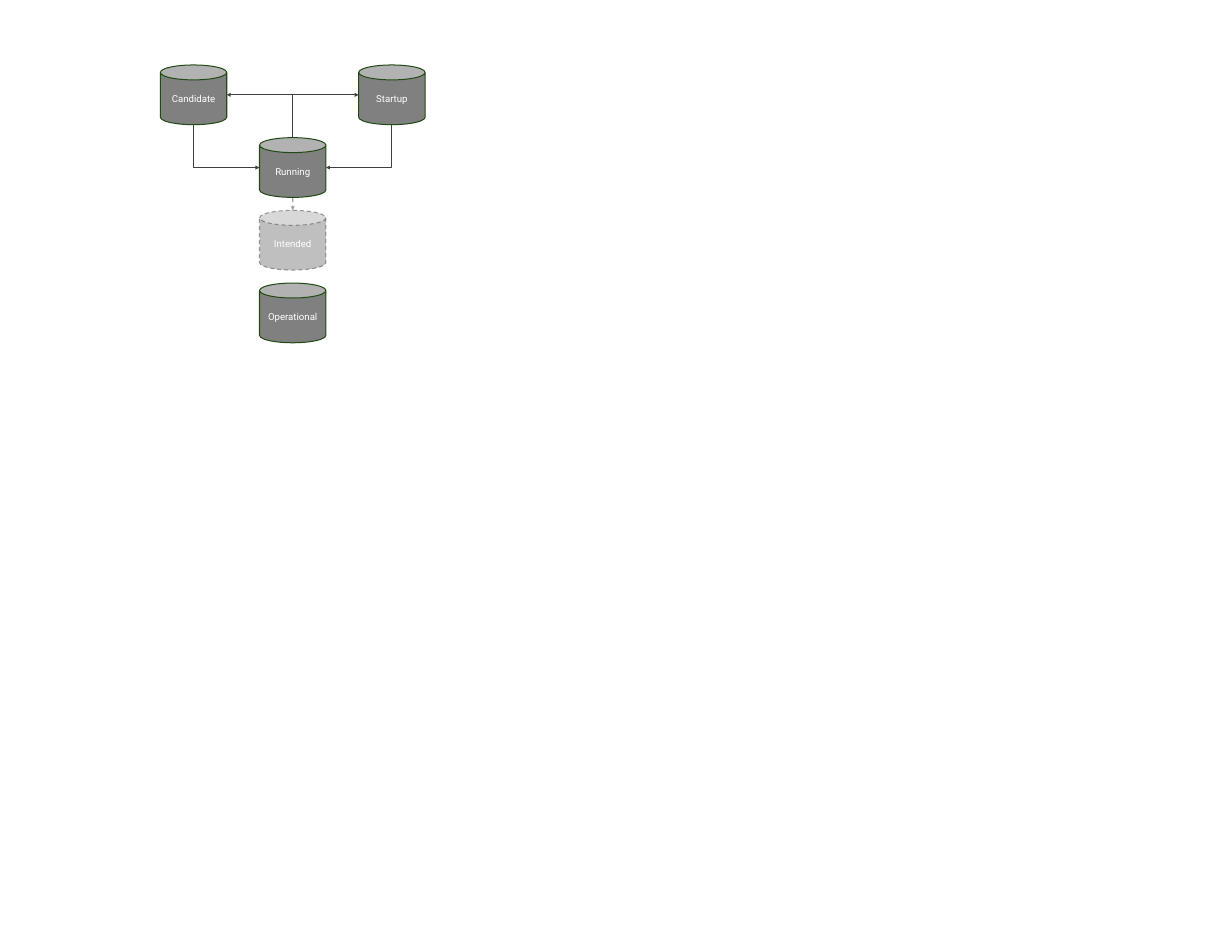
from lxml.etree import SubElement
from pptx import Presentation
from pptx.dml.color import RGBColor
from pptx.enum.dml import MSO_LINE
from pptx.enum.shapes import MSO_CONNECTOR, MSO_SHAPE
from pptx.enum.text import MSO_ANCHOR, PP_ALIGN
from pptx.oxml.ns import qn
from pptx.util import Pt

GRAY = RGBColor(0x80, 0x80, 0x80)
DARK = RGBColor(0x40, 0x40, 0x40)
GREEN = RGBColor(0x22, 0x49, 0x14)
WHITE = RGBColor(0xFF, 0xFF, 0xFF)

PX = 9144
SLIDE_WIDTH, SLIDE_HEIGHT = 2559, 1969
LEFT, TOP = 333, 135
COLUMN_STEP, ROW_STEP = 206, 151
CAN_WIDTH, CAN_HEIGHT = 138, 124

# name: (column, row, faded)
DATASTORES = {
    "Candidate": (0, 0, False),
    "Running": (1, 1, False),
    "Startup": (2, 0, False),
    "Operational": (1, 3, False),
    "Intended": (1, 2, True),
}
BENT_ARROWS = [
    {"target": ("Startup", "left"), "source": ("Running", "top")},
    {"target": ("Candidate", "right"), "source": ("Running", "top")},
    {"target": ("Running", "left"), "source": ("Candidate", "bottom")},
    {"target": ("Running", "right"), "source": ("Startup", "bottom")},
]
SIDES = {"top": (1, 0), "left": (0, 1), "bottom": (1, 2), "right": (2, 1)}


def corner(name):
    column, row, _ = DATASTORES[name]
    return LEFT + column * COLUMN_STEP, TOP + row * ROW_STEP


def side_point(name, side):
    left, top = corner(name)
    across, down = SIDES[side]
    return left + across * CAN_WIDTH // 2, top + down * CAN_HEIGHT // 2


def fade(element):
    for color in element.iter(qn("a:srgbClr")):
        SubElement(color, qn("a:alpha"), val="50000")


def add_datastore(slide, name):
    left, top = corner(name)
    faded = DATASTORES[name][2]
    shape = slide.shapes.add_shape(
        MSO_SHAPE.CAN, left * PX, top * PX, CAN_WIDTH * PX, CAN_HEIGHT * PX)
    shape.shadow.inherit = False
    shape.fill.solid()
    shape.fill.fore_color.rgb = GRAY
    shape.line.color.rgb = DARK if faded else GREEN
    shape.line.width = Pt(1.5)
    if faded:
        shape.line.dash_style = MSO_LINE.DASH
        fade(shape._element.spPr)
    frame = shape.text_frame
    frame.word_wrap = True
    frame.vertical_anchor = MSO_ANCHOR.MIDDLE
    paragraph = frame.paragraphs[0]
    paragraph.alignment = PP_ALIGN.CENTER
    run = paragraph.add_run()
    run.text = name
    run.font.name = "Roboto"
    run.font.size = Pt(14.4)
    run.font.color.rgb = WHITE


def add_arrow(slide, kind, begin, end, arrow_end):
    connector = slide.shapes.add_connector(
        kind, *(value * PX for value in begin + end))
    connector.line.color.rgb = DARK
    connector.line.width = Pt(1.75)
    properties = connector._element.spPr
    if kind == MSO_CONNECTOR.ELBOW:
        properties.find(qn("a:prstGeom")).set("prst", "bentConnector2")
    else:
        connector.line.dash_style = MSO_LINE.DASH
        fade(properties)
    SubElement(properties.find(qn("a:ln")), qn(arrow_end), type="triangle")
    SubElement(properties, qn("a:effectLst"))


def main():
    presentation = Presentation()
    presentation.slide_width = SLIDE_WIDTH * PX
    presentation.slide_height = SLIDE_HEIGHT * PX
    slide = presentation.slides.add_slide(presentation.slide_layouts[6])
    for name in DATASTORES:
        add_datastore(slide, name)
    for arrow in BENT_ARROWS:
        add_arrow(slide, MSO_CONNECTOR.ELBOW, side_point(*arrow["target"]),
                  side_point(*arrow["source"]), "a:headEnd")
    add_arrow(slide, MSO_CONNECTOR.STRAIGHT, side_point("Running", "bottom"),
              side_point("Intended", "top"), "a:tailEnd")
    presentation.save("out.pptx")


if __name__ == "__main__":
    main()
